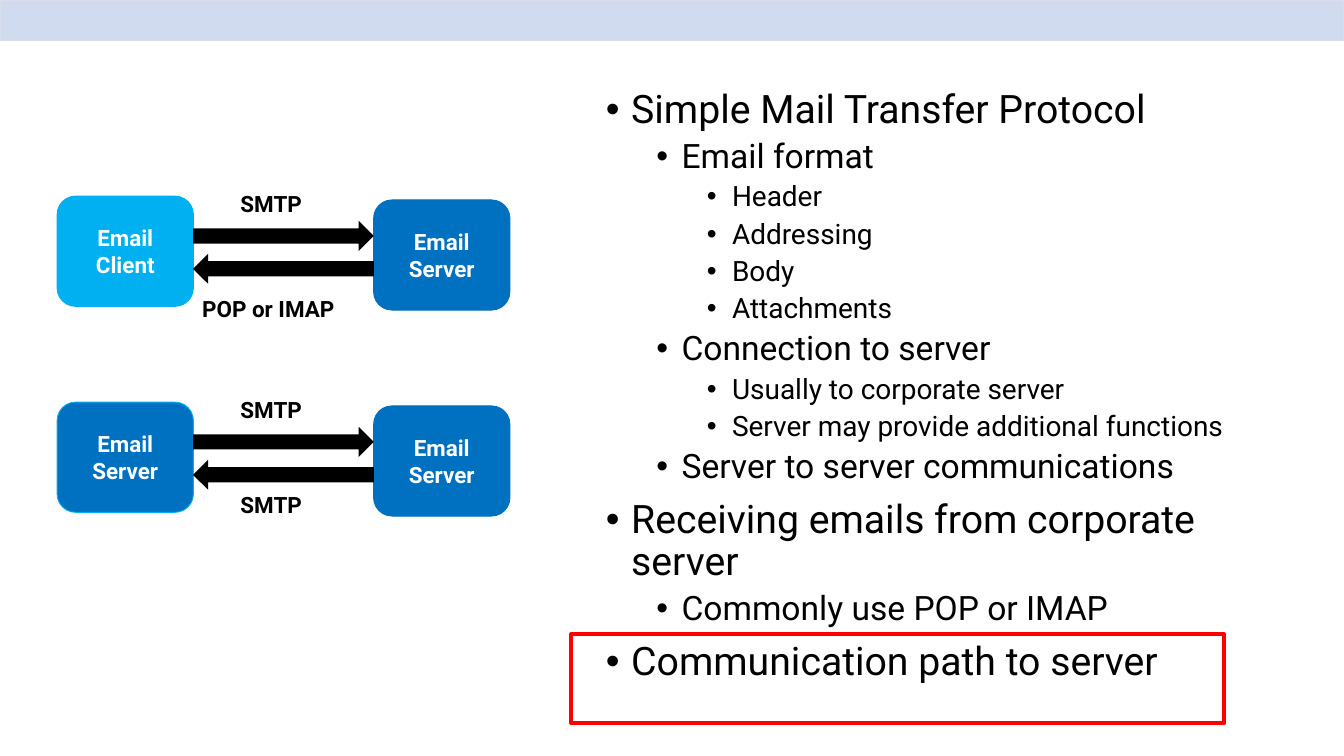
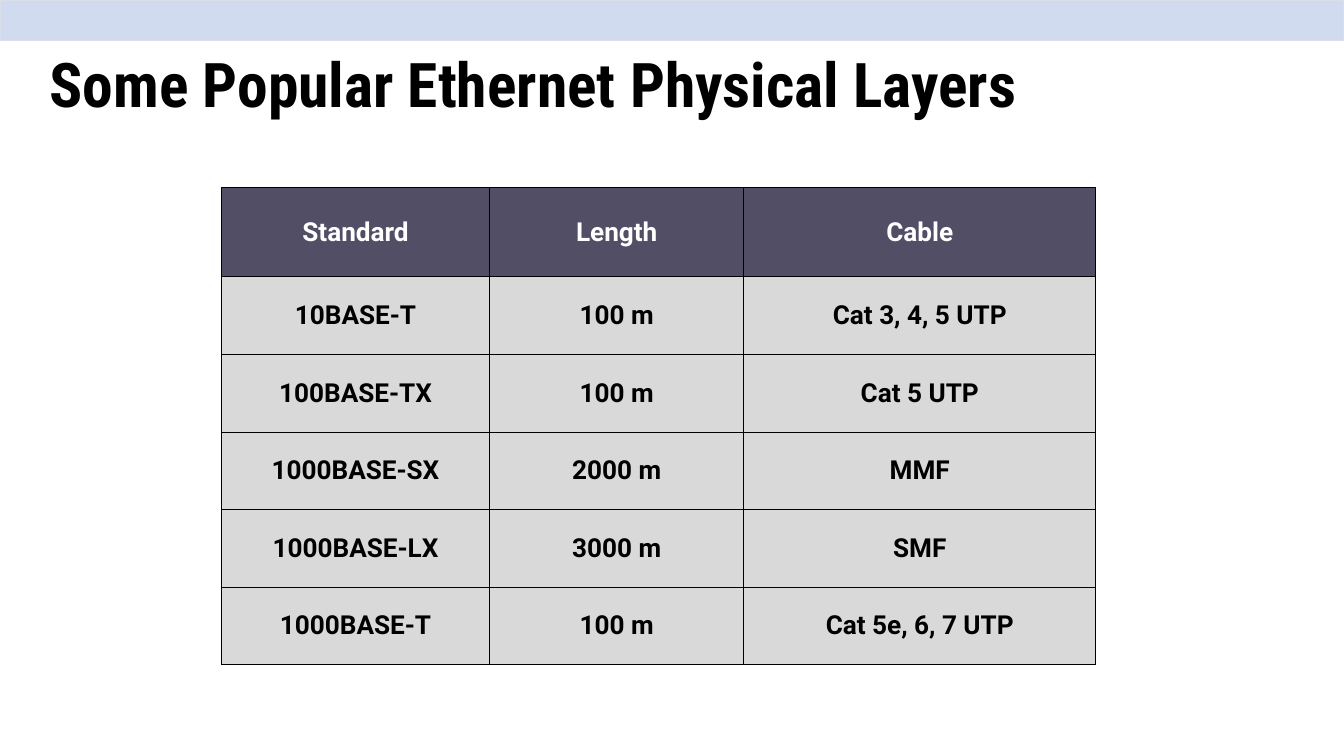
from lxml import etree
from pptx import Presentation
from pptx.dml import color
from pptx.enum import shapes, text
from pptx.oxml import ns
from pptx.util import Pt

COLORS = {
    "band": "D1DBF0", "band_edge": "D9DEEA", "ink": "000000", "paper": "FFFFFF",
    "client": "00B0F0", "server": "0070C0", "highlight": "FF0000",
    "table_head": "514E66", "table_body": "D9D9D9",
}
FORMATS = {
    "title": {"name": "Roboto Condensed", "size": Pt(66), "bold": True},
    "diagram": {"name": "Roboto", "size": Pt(24), "bold": True},
    "table": {"name": "Roboto", "size": Pt(28), "bold": True},
    "outline": [{"name": "Roboto", "size": Pt(size)} for size in (42, 36, 30)],
}
SMTP_OUTLINE = [
    (0, "Simple Mail Transfer Protocol"),
    (1, "Email format"),
    (2, "Header"),
    (2, "Addressing"),
    (2, "Body"),
    (2, "Attachments"),
    (1, "Connection to server"),
    (2, "Usually to corporate server"),
    (2, "Server may provide additional functions"),
    (1, "Server to server communications"),
    (0, "Receiving emails from corporate server"),
    (1, "Commonly use POP or IMAP"),
    (0, "Communication path to server"),
]
ETHERNET_LAYERS = [
    ("Standard", "Length", "Cable"),
    ("10BASE-T", "100 m", "Cat 3, 4, 5 UTP"),
    ("100BASE-TX", "100 m", "Cat 5 UTP"),
    ("1000BASE-SX", "2000 m", "MMF"),
    ("1000BASE-LX", "3000 m", "SMF"),
    ("1000BASE-T", "100 m", "Cat 5e, 6, 7 UTP"),
]


def rgb(name):
    return color.RGBColor.from_string(COLORS[name])


def points(*values):
    return [Pt(value) for value in values]


def apply(target, values):
    for name, value in values.items():
        setattr(target, name, value)


class Deck:
    def __init__(self, width, height):
        self.presentation = Presentation()
        apply(self.presentation, {"slide_width": Pt(width), "slide_height": Pt(height)})
        self.width = width

    def new_slide(self):
        self.slide = self.presentation.slides.add_slide(self.presentation.slide_layouts[6])
        self.canvas = self.slide.shapes
        self.box("RECTANGLE", (0, 0, self.width, 43.2), "band", "band_edge")

    def start_group(self):
        self.canvas = self.slide.shapes.add_group_shape().shapes

    def add_words(self, paragraph, words, style, ink="ink"):
        run = paragraph.add_run()
        run.text = words
        apply(run.font, style)
        run.font.color.rgb = rgb(ink)

    def box(self, preset, place, fill=None, line=None, weight=1, lines=(), rotation=0):
        shape = self.canvas.add_shape(shapes.MSO_SHAPE[preset], *points(*place))
        shape.shadow.inherit = False
        shape.rotation = rotation
        for paint, name in ((shape.fill, fill), (shape.line.fill, line)):
            if name:
                paint.solid()
                paint.fore_color.rgb = rgb(name)
            else:
                paint.background()
        if line:
            shape.line.width = Pt(weight)
        frame = shape.text_frame
        frame.vertical_anchor = text.MSO_ANCHOR.MIDDLE
        for index, words in enumerate(lines):
            paragraph = frame.add_paragraph() if index else frame.paragraphs[0]
            paragraph.alignment = text.PP_ALIGN.CENTER
            self.add_words(paragraph, words, FORMATS["diagram"], "paper")

    def text_box(self, place, **frame_values):
        frame = self.canvas.add_textbox(*points(*place)).text_frame
        apply(frame, {"word_wrap": True, **frame_values})
        return frame

    def title(self, words):
        frame = self.text_box((46, 15.8, 1242, 156.2),
                              vertical_anchor=text.MSO_ANCHOR.MIDDLE)
        frame.paragraphs[0].line_spacing = 0.9
        self.add_words(frame.paragraphs[0], words, FORMATS["title"])

    def label(self, place, words):
        frame = self.text_box(place, word_wrap=False,
                              auto_size=text.MSO_AUTO_SIZE.SHAPE_TO_FIT_TEXT)
        self.add_words(frame.paragraphs[0], words, FORMATS["diagram"])

    def outline(self, place, items):
        frame = self.text_box(place)
        for index, (level, words) in enumerate(items):
            paragraph = frame.add_paragraph() if index else frame.paragraphs[0]
            properties = paragraph._p.get_or_add_pPr()
            properties.set("marL", str(Pt(27 + 54 * level)))
            properties.set("indent", str(-Pt(27)))
            etree.SubElement(properties, ns.qn("a:buFont"), typeface="Arial")
            etree.SubElement(properties, ns.qn("a:buChar"), char="•")
            apply(paragraph, {"level": level, "line_spacing": 0.9})
            if index:
                paragraph.space_before = Pt(7.5 if level else 15)
            self.add_words(paragraph, words, FORMATS["outline"][level])

    def borders(self, cell):
        properties = cell._tc.get_or_add_tcPr()
        for side in "LRTB":
            edge = etree.SubElement(properties, ns.qn(f"a:ln{side}"), w=str(Pt(1)))
            fill = etree.SubElement(edge, ns.qn("a:solidFill"))
            etree.SubElement(fill, ns.qn("a:srgbClr"), val=COLORS["ink"])

    def table(self, left, top, widths, heights, rows):
        place = points(left, top, sum(widths), sum(heights))
        grid = self.canvas.add_table(len(rows), len(widths), *place).table
        for column, width in zip(grid.columns, widths):
            column.width = Pt(width)
        for index, (row, height, entries) in enumerate(zip(grid.rows, heights, rows)):
            row.height = Pt(height)
            fill, ink = ("table_body", "ink") if index else ("table_head", "paper")
            for cell, words in zip(row.cells, entries):
                apply(cell, {"vertical_anchor": text.MSO_ANCHOR.MIDDLE,
                             "margin_left": Pt(6.5), "margin_right": Pt(6.5),
                             "margin_top": Pt(3), "margin_bottom": Pt(3)})
                self.borders(cell)
                cell.fill.solid()
                cell.fill.fore_color.rgb = rgb(fill)
                paragraph = cell.text_frame.paragraphs[0]
                paragraph.alignment = text.PP_ALIGN.CENTER
                self.add_words(paragraph, words, FORMATS["table"], ink)

    def mail_exchange(self, top, sender, sender_fill, reply, reply_left, reply_drop):
        self.start_group()
        for left, drop, role, fill, line in (
            (61.2, 10, sender, sender_fill, "client"),
            (400.3, 14, "Server", "server", "server"),
        ):
            self.box("ROUNDED_RECTANGLE", (left, top + drop, 146, 118), fill, line,
                     lines=("Email", role))
        for drop, rotation in ((36.4, 0), (71.6, 180)):
            self.box("RIGHT_ARROW", (206.8, top + drop, 193.7, 32.4), "ink",
                     rotation=rotation)
        self.label((250.6, top, 83.5, 36), "SMTP")
        reply_width = 2 * (292.3 - reply_left)
        self.label((reply_left, top + reply_drop, reply_width, 36), reply)


def main():
    deck = Deck(1440, 810)

    deck.new_slide()
    deck.outline((642.2, 92.9, 709.2, 681.8), SMTP_OUTLINE)
    deck.box("RECTANGLE", (612, 679.7, 699.8, 95), line="highlight", weight=4.5)
    deck.mail_exchange(200.2, "Client", "client", "POP or IMAP", 209.5, 112.3)
    deck.mail_exchange(420.9, "Server", "server", "SMTP", 250.6, 101.3)

    deck.new_slide()
    deck.title("Some Popular Ethernet Physical Layers")
    deck.table(237.3, 200.9, (287.3, 272.2, 377.3), [95.8] + [83.1] * 5, ETHERNET_LAYERS)

    deck.presentation.save("out.pptx")


if __name__ == "__main__":
    main()
